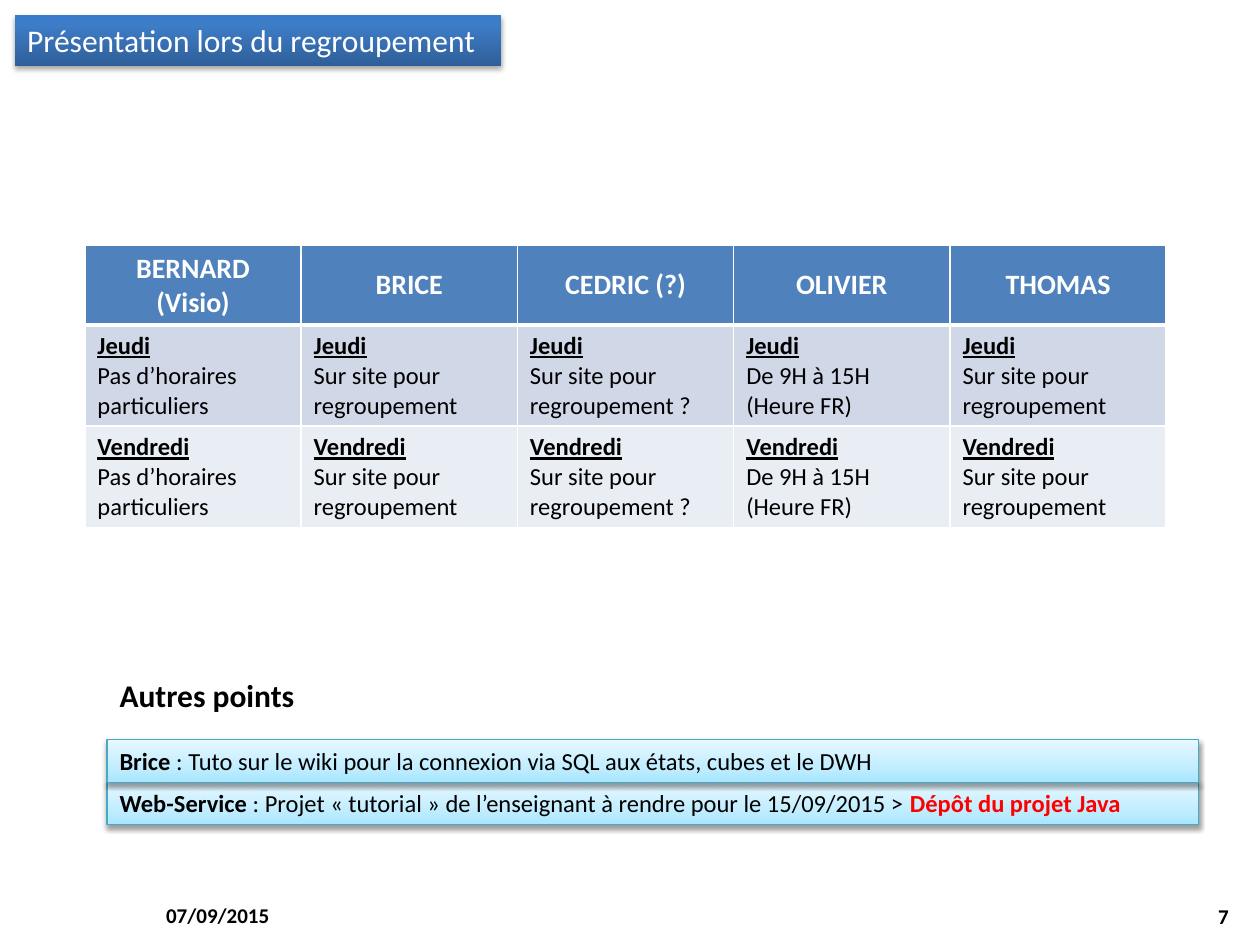
from dataclasses import dataclass

from lxml.etree import SubElement
from pptx import Presentation
from pptx.dml.color import RGBColor
from pptx.enum.shapes import MSO_SHAPE as Preset
from pptx.enum.text import MSO_ANCHOR as Anchor, MSO_AUTO_SIZE as AutoSize, PP_ALIGN as Align
from pptx.oxml.ns import qn
from pptx.util import Cm, Pt

FONT = "Calibri"
COLORS = {
    "black": "000000", "white": "FFFFFF", "red": "FF0000",
    "header": "4F81BD", "thursday": "D0D8E8", "friday": "E9EDF4", "outline": "46AAC5",
}
TITLE_STOPS = ((0, "2F5F99"), (80, "3D7CC7"), (100, "3A7CCB"))
NOTE_STOPS = ((0, "A7E6FF"), (35, "C1EDFF"), (100, "E7F8FF"))


@dataclass(frozen=True)
class Span:
    text: str
    size: float = 14
    bold: bool = False
    underline: bool = False
    color: str = "black"


@dataclass(frozen=True)
class Box:
    left: float
    top: float
    width: float
    height: float

    def lengths(self) -> tuple:
        return Cm(self.left), Cm(self.top), Cm(self.width), Cm(self.height)


@dataclass(frozen=True)
class Member:
    name: str
    thursday: tuple
    friday: tuple


ON_SITE = ("Sur site pour regroupement",)
MAYBE = ("Sur site pour regroupement ?",)
ANY_TIME = ("Pas d’horaires particuliers",)
MEMBERS = (
    Member("BERNARD (Visio)", ANY_TIME, ANY_TIME),
    Member("BRICE", ON_SITE, ON_SITE),
    Member("CEDRIC (?)", MAYBE, MAYBE),
    Member("OLIVIER", ("De 9H à 15H (Heure FR)",), ("De 9H à 15H", "(Heure FR)")),
    Member("THOMAS", ON_SITE, ON_SITE),
)


def rgb(name: str) -> RGBColor:
    return RGBColor.from_string(COLORS[name])


def write(frame, paragraphs: list, align: Align = Align.LEFT) -> None:
    for index, spans in enumerate(paragraphs):
        paragraph = frame.add_paragraph() if index else frame.paragraphs[0]
        paragraph.alignment = align
        for span in spans:
            run = paragraph.add_run()
            run.text = span.text
            font = run.font
            font.name, font.size = FONT, Pt(span.size)
            font.bold, font.underline = span.bold, span.underline
            font.color.rgb = rgb(span.color)


def add_text(slide, box: Box, span: Span, align: Align = Align.LEFT,
             anchor: Anchor = Anchor.MIDDLE, wrap: bool = True):
    frame = slide.shapes.add_textbox(*box.lengths()).text_frame
    frame.word_wrap = wrap
    frame.vertical_anchor = anchor
    write(frame, [[span]], align)
    return frame


def add_banner(slide, box: Box, spans: list, stops: tuple, alpha: int,
               distance: float, outlined: bool = True) -> None:
    shape = slide.shapes.add_shape(Preset.RECTANGLE, *box.lengths())
    shape.fill.gradient()
    shape.fill.gradient_angle = 90
    stop_list = shape._element.spPr.find(".//" + qn("a:gsLst"))
    for stop in list(stop_list):
        stop_list.remove(stop)
    for position, color in stops:
        stop = SubElement(stop_list, qn("a:gs"), pos=str(position * 1000))
        SubElement(stop, qn("a:srgbClr"), val=color)
    if outlined:
        shape.line.color.rgb = rgb("outline")
        shape.line.width = Pt(0.75)
    else:
        shape.line.fill.background()
    shape.shadow.inherit = False
    effects = shape._element.spPr.find(qn("a:effectLst"))
    shadow = SubElement(effects, qn("a:outerShdw"), blurRad=str(Pt(3.1)),
                        dist=str(Pt(distance)), dir="5400000", rotWithShape="0")
    color = SubElement(shadow, qn("a:srgbClr"), val=COLORS["black"])
    SubElement(color, qn("a:alpha"), val=str(alpha * 1000))
    frame = shape.text_frame
    frame.word_wrap = outlined
    frame.auto_size = AutoSize.SHAPE_TO_FIT_TEXT
    frame.vertical_anchor = Anchor.TOP
    write(frame, [spans])


def style_cell(cell, fill: str, top: float, bottom: float) -> None:
    properties = cell._tc.get_or_add_tcPr()
    for side, width in (("L", 1), ("R", 1), ("T", top), ("B", bottom)):
        line = SubElement(properties, qn(f"a:ln{side}"), w=str(Pt(width)))
        solid = SubElement(line, qn("a:solidFill"))
        SubElement(solid, qn("a:srgbClr"), val=COLORS["white"])
    cell.fill.solid()
    cell.fill.fore_color.rgb = rgb(fill)


def day_text(day: str, lines: tuple) -> list:
    return [[Span(day, bold=True, underline=True)]] + [[Span(line)] for line in lines]


def add_schedule(slide, box: Box, row_heights: tuple) -> None:
    table = slide.shapes.add_table(len(row_heights), len(MEMBERS), *box.lengths()).table
    for row, height in zip(table.rows, row_heights):
        row.height = Cm(height)
    for column, member in enumerate(MEMBERS):
        table.columns[column].width = Cm(box.width / len(MEMBERS))
        header, thursday, friday = (table.cell(row, column) for row in range(3))
        style_cell(header, "header", 1, 3)
        style_cell(thursday, "thursday", 3, 1)
        style_cell(friday, "friday", 1, 1)
        header.vertical_anchor = Anchor.MIDDLE
        write(header.text_frame, [[Span(member.name, 16, True, color="white")]], Align.CENTER)
        write(thursday.text_frame, day_text("Jeudi", member.thursday))
        write(friday.text_frame, day_text("Vendredi", member.friday))


def main() -> None:
    presentation = Presentation()
    presentation.slide_width, presentation.slide_height = Cm(25.4), Cm(19.05)
    slide = presentation.slides.add_slide(presentation.slide_layouts[6])

    add_text(slide, Box(3.1, 17.93, 5.92, 1.02), Span("07/09/2015", 12, True))
    add_text(slide, Box(19.1, 17.96, 5.92, 1.02), Span("7", 12, True), Align.RIGHT)
    add_banner(slide, Box(0.3, 0.3, 9.8, 1.03),
               [Span("Présentation lors du regroupement", 18, color="white")],
               TITLE_STOPS, 35, 1.8, outlined=False)
    add_schedule(slide, Box(1.71, 4.94, 21.8, 5.65), (1.57, 2.04, 2.04))

    add_banner(slide, Box(2.16, 15.77, 22, 0.86), [
        Span("Web-Service", bold=True),
        Span(" : Projet « tutorial » de l’enseignant à rendre pour le 15/09/2015 > "),
        Span("Dépôt du projet Java", bold=True, color="red"),
    ], NOTE_STOPS, 38, 1.6)
    heading = add_text(slide, Box(2.16, 13.51, 4.06, 1.03), Span("Autres points", 18, True),
                       anchor=Anchor.TOP, wrap=False)
    heading.auto_size = AutoSize.SHAPE_TO_FIT_TEXT
    heading.paragraphs[0].space_after = Pt(3)
    add_banner(slide, Box(2.16, 14.91, 22, 0.86), [
        Span("Brice", bold=True),
        Span(" : Tuto sur le wiki pour la connexion via SQL aux états, cubes et le DWH"),
    ], NOTE_STOPS, 38, 1.6)

    presentation.save("out.pptx")


if __name__ == "__main__":
    main()
